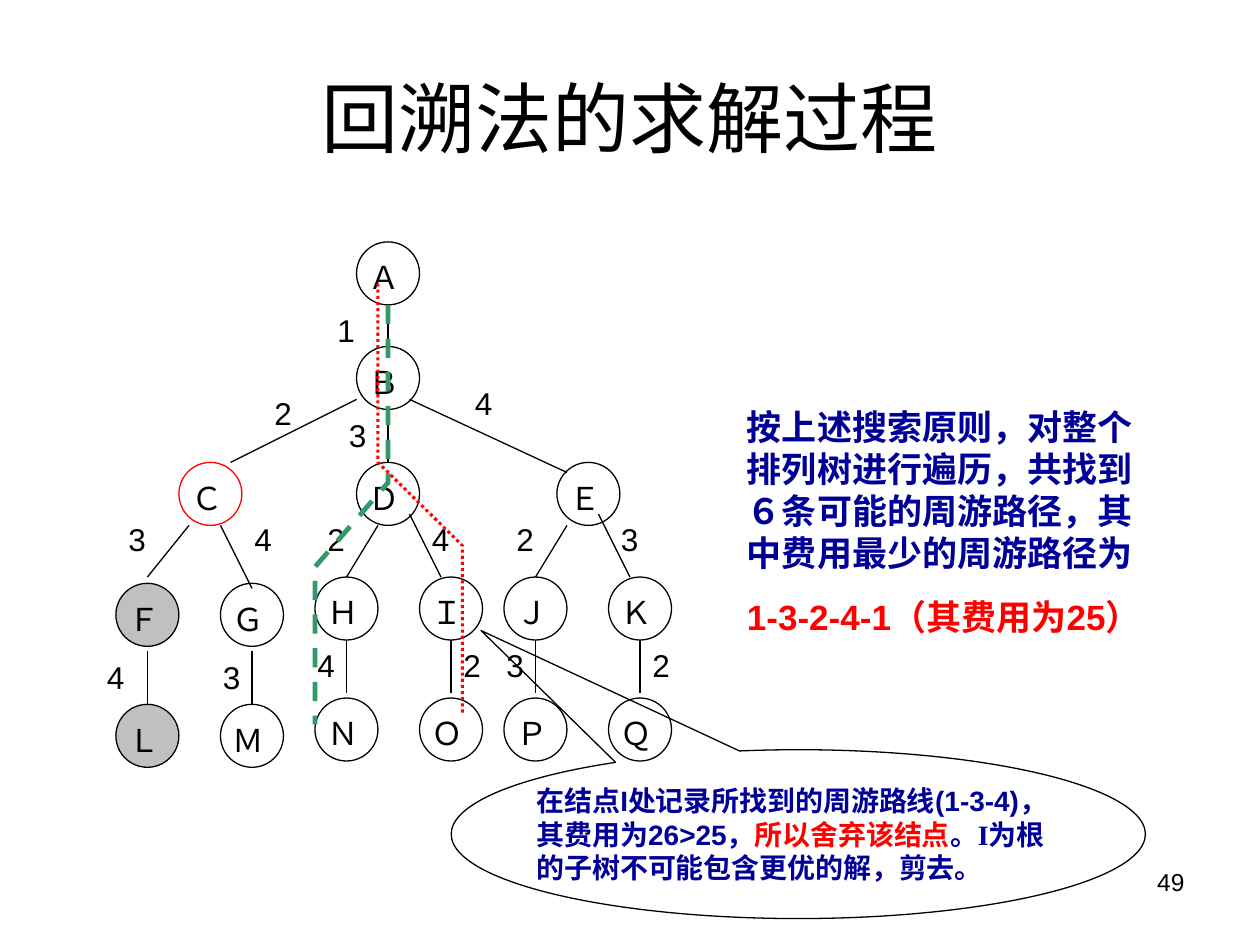
from pptx import Presentation
from pptx.dml.color import RGBColor
from pptx.enum.dml import MSO_LINE
from pptx.enum.shapes import MSO_CONNECTOR, MSO_SHAPE
from pptx.enum.text import MSO_ANCHOR, MSO_AUTO_SIZE, PP_ALIGN
from pptx.oxml.ns import qn
from pptx.util import Inches, Pt
from lxml.etree import SubElement

BLACK, RED, NAVY, GREEN, GRAY = "000000", "FF0000", "000099", "339966", "C0C0C0"
NODE = 0.5
STEM = 0.42
UPPER_NODES = [("Ａ", 2.83, 1.92, BLACK), ("Ｂ", 2.83, 2.75, BLACK),
               ("Ｃ", 1.42, 3.67, RED), ("Ｄ", 2.83, 3.67, BLACK),
               ("Ｅ", 4.42, 3.67, BLACK)]
BRANCHES = [("Ｆ", "Ｌ", 0.92, 4.63, 5.17, GRAY), ("Ｇ", "Ｍ", 1.75, 4.63, 5.17, None),
            ("Ｈ", "Ｎ", 2.5, 4.58, 5.08, None), ("Ｉ", "Ｏ", 3.33, 4.58, 5.08, None),
            ("Ｊ", "Ｐ", 4, 4.58, 5.08, None), ("Ｋ", "Ｑ", 4.83, 4.58, 5.08, None)]
LEVEL_GAP = 0.96
EDGES = [(3.08, 2.42, 3.08, 2.75), (3.08, 3.25, 3.08, 3.67),
         (2.83, 3.17, 1.83, 3.67), (4.5, 3.75, 3.25, 3.17),
         (3, 4.17, 2.75, 4.58), (1.5, 4.17, 1.17, 4.58),
         (4.5, 4.17, 4.25, 4.58), (5, 4.58, 4.75, 4.08),
         (3.5, 4.58, 3.25, 4.08), (2, 4.67, 1.75, 4.17)]
EDGE_LABELS = [("1", 2.58, 2.42), ("3", 2.67, 3.25), ("4", 3.67, 3), ("2", 2.08, 3.08),
               ("3", 0.92, 4.08), ("4", 1.92, 4.08), ("2", 2.5, 4.08), ("4", 3.33, 4.08),
               ("2", 4, 4.08), ("3", 4.83, 4.08), ("4", 0.75, 5.17), ("3", 1.67, 5.17),
               ("4", 2.42, 5.08), ("2", 3.58, 5.08), ("3", 3.92, 5.08), ("2", 5.08, 5.08)]
GREEN_ROUTE = [(3.08, 2.42), (3.08, 2.75), (3.08, 3.83), (2.5, 4.5), (2.5, 5.75)]
RED_ROUTE = [(3, 2.25), (3, 3.67), (3.67, 4.33), (3.67, 5.67)]
SUMMARY = [
    [("按上述搜索原则，对整个排列树进行遍历，共找到６条可能的周游路径，其中费用最少的周游路径为", NAVY, "Arial")],
    [("1-3-2-4-1（其费用为25）", RED, "Arial")]]
CALLOUT = [[
    ("在结点I处记录所找到的周游路线(1-3-4)，其费用为26>25，", NAVY, "Arial"),
    ("所以舍弃该结点", RED, "Arial"), ("。", NAVY, "Arial"),
    ("I", NAVY, "Times New Roman"),
    ("为根的子树不可能包含更优的解，剪去。", NAVY, "Arial")]]


def rgb(color):
    """Turn a hex string into a colour."""
    return RGBColor.from_string(color)


def add_text(s, box, paragraphs, size=18, bold=False, align=None, before=0, grow=True):
    """Add a wrapped text box of paragraphs made of (text, colour, font) runs."""
    tf = s.shapes.add_textbox(*map(Inches, box)).text_frame
    tf.word_wrap = True
    tf.auto_size = MSO_AUTO_SIZE.SHAPE_TO_FIT_TEXT if grow else MSO_AUTO_SIZE.NONE
    for i, runs in enumerate(paragraphs):
        p = tf.add_paragraph() if i else tf.paragraphs[0]
        p.alignment = align
        p.space_before = Pt(before)
        for text, color, font in runs:
            r = p.add_run()
            r.text = text
            r.font.name, r.font.size, r.font.bold = font, Pt(size), bold
            r.font.color.rgb = rgb(color)
    return tf


def add_label(s, text, x, y, width=0.33):
    """Add a small black tree label."""
    add_text(s, (x, y, width, 0.4), [[(text, BLACK, "Arial")]], before=11.2)


def style_shape(sp, line, width=0.75, fill=None, dash=None):
    """Give a shape its outline and fill, without a shadow."""
    sp.shadow.inherit = False
    if fill:
        sp.fill.solid()
        sp.fill.fore_color.rgb = rgb(fill)
    else:
        sp.fill.background()
    sp.line.color.rgb = rgb(line)
    sp.line.width = Pt(width)
    if dash:
        sp.line.dash_style = dash


def add_node(s, text, x, y, line=BLACK, fill=None):
    """Add a lettered circle of the tree."""
    sp = s.shapes.add_shape(MSO_SHAPE.OVAL, *map(Inches, (x, y, NODE, NODE)))
    style_shape(sp, line, fill=fill)
    add_label(s, text, x, y + 0.08, 0.42)


def add_edge(s, x1, y1, x2, y2):
    """Add a thin black tree edge."""
    edge = s.shapes.add_connector(MSO_CONNECTOR.STRAIGHT, *map(Inches, (x1, y1, x2, y2)))
    edge.line.color.rgb = rgb(BLACK)
    edge.line.width = Pt(0.75)
    SubElement(edge._element.spPr, qn("a:effectLst"))


def add_route(s, points, color, width, dash):
    """Add an open dashed route through the points."""
    start, *rest = [(Inches(x), Inches(y)) for x, y in points]
    fb = s.shapes.build_freeform(*start)
    fb.add_line_segments(rest, close=False)
    style_shape(fb.convert_to_shape(), color, width, dash=dash)


def add_callout(s):
    """Add the elliptical callout pointing at node I, with its text inside."""
    sp = s.shapes.add_shape(MSO_SHAPE.OVAL_CALLOUT, *map(Inches, (3.58, 5.95, 5.51, 1.34)))
    sp.rotation = 180
    sp.adjustments[0], sp.adjustments[1] = 0.457, 1.206
    style_shape(sp, BLACK)
    add_text(s, (4.16, 6.17, 4.36, 0.9), CALLOUT, 16, bold=True, before=11.2)


def add_tree(s):
    """Add the nodes, edges and edge labels of the search tree."""
    for text, x, y, line in UPPER_NODES:
        add_node(s, text, x, y, line)
    for parent, leaf, x, y, stem_top, fill in BRANCHES:
        add_node(s, parent, x, y, fill=fill)
        add_node(s, leaf, x, y + LEVEL_GAP, fill=fill)
        middle = x + NODE / 2
        add_edge(s, middle, stem_top, middle, stem_top + STEM)
    for edge in EDGES:
        add_edge(s, *edge)
    for label in EDGE_LABELS:
        add_label(s, *label)


def main():
    """Build the slide and save it."""
    prs = Presentation()
    prs.slide_width, prs.slide_height = Inches(10), Inches(7.5)
    s = prs.slides.add_slide(prs.slide_layouts[6])
    add_text(s, (7.17, 6.83, 2.33, 0.52), [[("49", BLACK, "Arial")]], 14,
             align=PP_ALIGN.RIGHT, grow=False)
    title = add_text(s, (0.5, 0.3, 9, 1.25), [[("回溯法的求解过程", BLACK, "Arial")]], 44,
                     align=PP_ALIGN.CENTER, grow=False)
    title.vertical_anchor = MSO_ANCHOR.MIDDLE
    add_tree(s)
    add_callout(s)
    add_text(s, (5.83, 3.17, 3.42, 2.28), SUMMARY, 20, bold=True, before=12.5)
    add_route(s, GREEN_ROUTE, GREEN, 2.75, MSO_LINE.DASH)
    add_route(s, RED_ROUTE, RED, 1.75, MSO_LINE.ROUND_DOT)
    prs.save("out.pptx")


if __name__ == "__main__":
    main()
